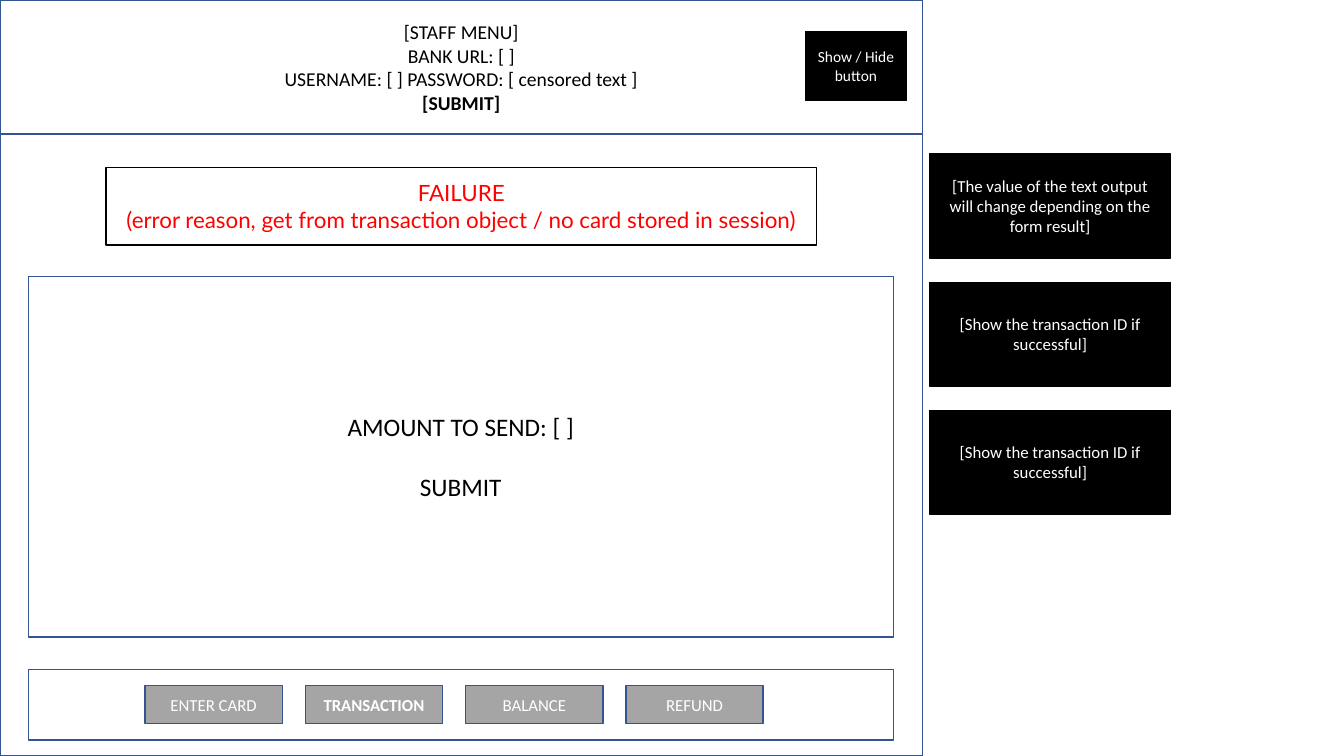
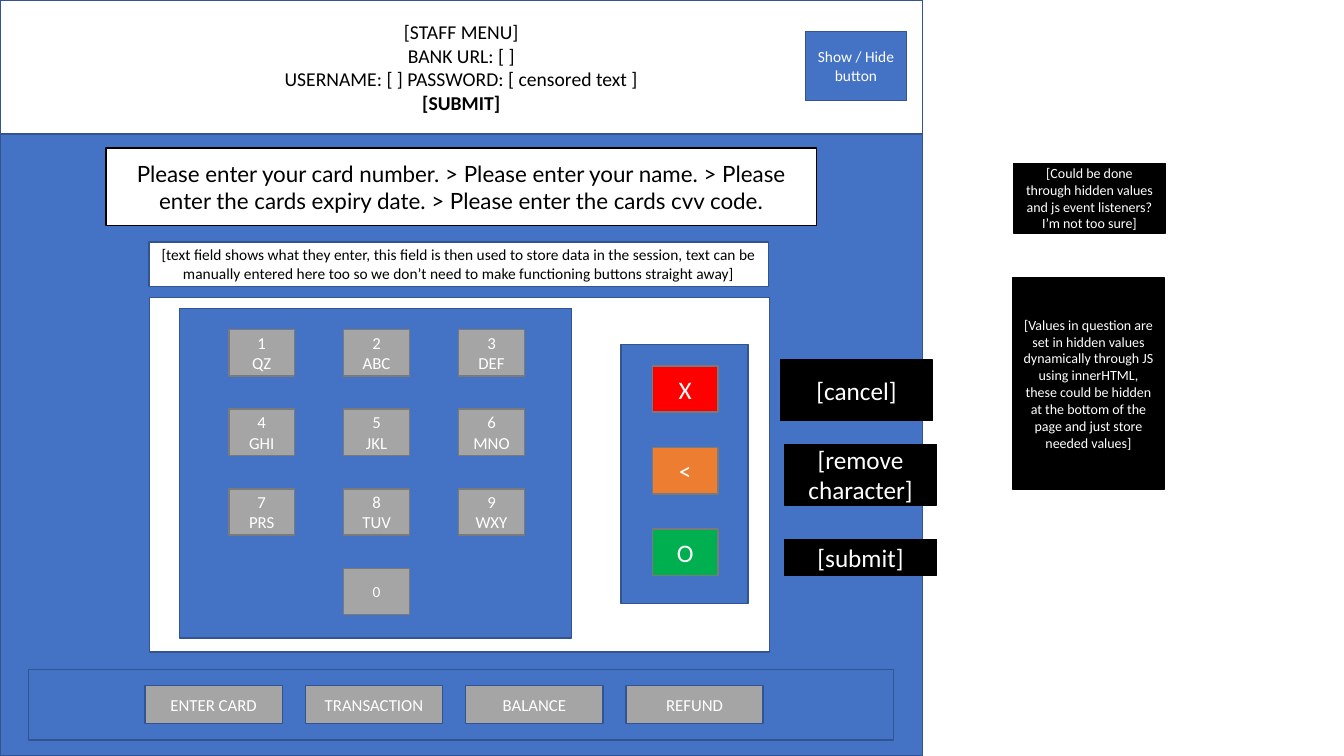
"""Build two wireframe slides for a card payment terminal."""
from dataclasses import dataclass

from pptx import Presentation
from pptx.dml.color import RGBColor
from pptx.enum.shapes import MSO_SHAPE
from pptx.enum.text import MSO_ANCHOR, PP_ALIGN
from pptx.util import Inches, Pt

RECTANGLE = MSO_SHAPE.RECTANGLE
CENTER = PP_ALIGN.CENTER
MIDDLE = MSO_ANCHOR.MIDDLE


@dataclass(frozen=True)
class Theme:
    """Colours, fonts and type sizes of the deck."""
    white: str = "FFFFFF"
    black: str = "000000"
    blue: str = "4472C4"
    outline: str = "325491"
    grey: str = "A5A5A5"
    key_outline: str = "7A7A7A"
    red: str = "FF0000"
    orange: str = "ED7D31"
    green: str = "00B050"
    body_font: str = "Calibri"
    message_font: str = "Lato"
    large: int = 18
    message: int = 16
    header: int = 14
    normal: int = 12
    small: int = 11
    tiny: int = 10


THEME = Theme()

HEADER = "[STAFF MENU]\nBANK URL: [ ]\nUSERNAME: [ ] PASSWORD: [ censored text ]\n[SUBMIT]"
NAV_LABELS = ("ENTER CARD", "TRANSACTION", "BALANCE", "REFUND")
KEYS = ("1\nQZ", "2\nABC", "3\nDEF", "4\nGHI", "5\nJKL", "6\nMNO", "7\nPRS", "8\nTUV", "9\nWXY")
RESULT_NOTES = (
    "[The value of the text output will change depending on the form result]",
    "[Show the transaction ID if successful]",
    "[Show the transaction ID if successful]",
)
ACTIONS = (("X", THEME.red), ("<", THEME.orange), ("O", THEME.green))
SIDE_NOTES = (
    ("[cancel]", (7.74, 3.57, 1.51, 0.6), THEME.large),
    ("[remove character]", (7.78, 4.41, 1.51, 0.6), THEME.large),
    ("[submit]", (7.78, 5.35, 1.51, 0.36), THEME.large),
    ("[Could be done through hidden values and js event listeners? I’m not too sure]",
     (10.05, 1.62, 1.51, 0.69), THEME.tiny),
    ("[Values in question are set in hidden values dynamically through JS using innerHTML, "
     "these could be hidden at the bottom of the page and just store needed values]",
     (10.04, 2.76, 1.51, 2.09), THEME.tiny),
)


def write_text(sp, text, size=THEME.normal, color=THEME.white, font=THEME.body_font,
               bold_last=False, gap=0):
    """Write centred lines, with an optional gap between them and a bold last line."""
    tf = sp.text_frame
    tf.word_wrap = True
    tf.vertical_anchor = MIDDLE
    lines = text.split("\n")
    for i, line in enumerate(lines):
        p = tf.add_paragraph() if i else tf.paragraphs[0]
        p.alignment = CENTER
        if i and gap:
            p.space_before = Pt(gap)
        r = p.add_run()
        r.text = line
        r.font.name = font
        r.font.size = Pt(size)
        r.font.bold = bold_last and i == len(lines) - 1
        r.font.color.rgb = RGBColor.from_string(color)


def add_box(s, at, fill=THEME.white, line=THEME.outline, text="", **text_format):
    """Add an outlined rectangle, with text if given."""
    sp = s.shapes.add_shape(RECTANGLE, *map(Inches, at))
    sp.shadow.inherit = False
    sp.fill.solid()
    sp.fill.fore_color.rgb = RGBColor.from_string(fill)
    sp.line.color.rgb = RGBColor.from_string(line)
    sp.line.width = Pt(1)
    if text:
        write_text(sp, text, **text_format)


def add_note(s, at, text, size=THEME.normal):
    """Add a black annotation."""
    add_box(s, at, THEME.black, THEME.black, text, size=size)


def add_message(s, top, text, color):
    """Add the message box that tells the user what happens."""
    add_box(s, (1.05, top, 7.05, 0.77), line=THEME.black, text=text,
            size=THEME.message, color=color, font=THEME.message_font)


def add_key(s, left, top, text, fill=THEME.grey, size=THEME.normal):
    """Add one key of the terminal."""
    add_box(s, (left, top, 0.65, 0.46), fill, THEME.key_outline, text, size=size)


def add_frame(s, fill, toggle_fill, toggle_line, active=None):
    """Add the staff header, page body and navigation bar."""
    add_box(s, (0, 0, 9.15, 1.33), text=HEADER, size=THEME.header,
            color=THEME.black, bold_last=True)
    add_box(s, (0, 1.33, 9.15, 6.17), fill)
    add_box(s, (7.99, 0.31, 1, 0.69), toggle_fill, toggle_line,
            "Show / Hide button", size=THEME.small)
    add_box(s, (0.28, 6.64, 8.58, 0.7), fill)
    for i, label in enumerate(NAV_LABELS):
        add_box(s, (1.44 + 1.59 * i, 6.8, 1.36, 0.38), THEME.grey,
                text=label, bold_last=label == active)


def add_keypad(s):
    """Add the number keys on their panel."""
    add_box(s, (1.78, 3.06, 3.89, 3.27), THEME.blue)
    left, top, step_x, step_y = 2.27, 3.27, 1.14, 0.79
    for i, label in enumerate(KEYS):
        row, column = divmod(i, 3)
        add_key(s, left + column * step_x, top + row * step_y, label)
    add_key(s, left + step_x, top + 3 * step_y, "0", size=THEME.small)


def add_actions(s):
    """Add the cancel, remove and submit keys on their panel."""
    add_box(s, (6.16, 3.42, 1.26, 2.57), THEME.blue)
    for i, (label, fill) in enumerate(ACTIONS):
        add_key(s, 6.47, 3.63 + 0.81 * i, label, fill, THEME.large)


def build_transaction(s):
    """Build the transaction page."""
    add_frame(s, THEME.white, THEME.black, THEME.black, active="TRANSACTION")
    add_box(s, (0.28, 2.74, 8.58, 3.58), text="AMOUNT TO SEND: [ ]\nSUBMIT",
            size=THEME.large, color=THEME.black, gap=1.2 * THEME.large)
    add_message(s, 1.66, "FAILURE\n(error reason, get from transaction object / "
                "no card stored in session)", THEME.red)
    for i, note in enumerate(RESULT_NOTES):
        add_note(s, (9.22, 1.53 + 1.27 * i, 2.39, 1.03), note)


def build_card_entry(s):
    """Build the card entry page."""
    add_frame(s, THEME.blue, THEME.blue, THEME.outline)
    add_message(s, 1.47, "Please enter your card number. > Please enter your name. > "
                "Please enter the cards expiry date. > Please enter the cards cvv code.",
                THEME.black)
    add_box(s, (1.48, 2.4, 6.14, 0.44),
            text="[text field shows what they enter, this field is then used to store data "
                 "in the session, text can be manually entered here too so we don’t need to "
                 "make functioning buttons straight away]",
            size=THEME.small, color=THEME.black)
    add_box(s, (1.48, 2.95, 6.15, 3.52))
    add_keypad(s)
    add_actions(s)
    for text, at, size in SIDE_NOTES:
        add_note(s, at, text, size)


def main():
    """Build and save the deck."""
    prs = Presentation()
    prs.slide_width, prs.slide_height = Inches(13.33), Inches(7.5)
    blank = prs.slide_layouts[6]
    for build in (build_transaction, build_card_entry):
        build(prs.slides.add_slide(blank))
    prs.save("out.pptx")


if __name__ == "__main__":
    main()
